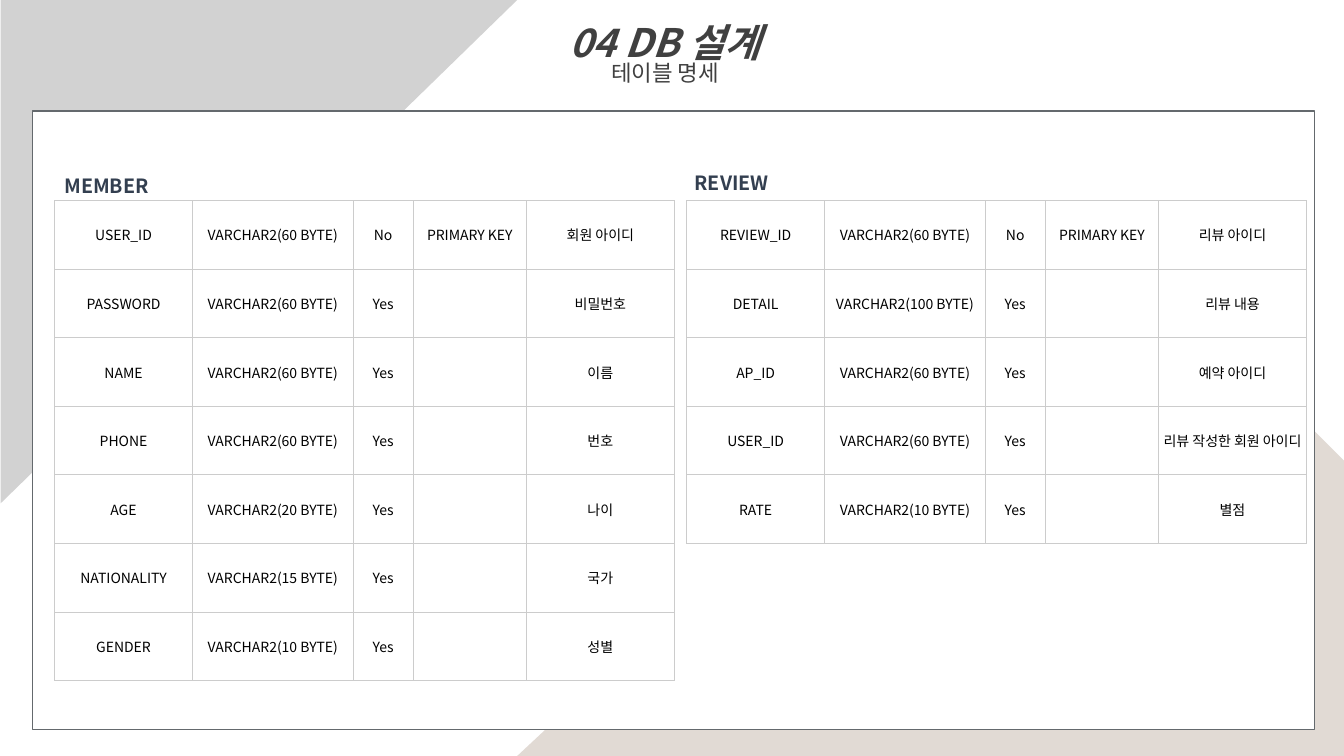
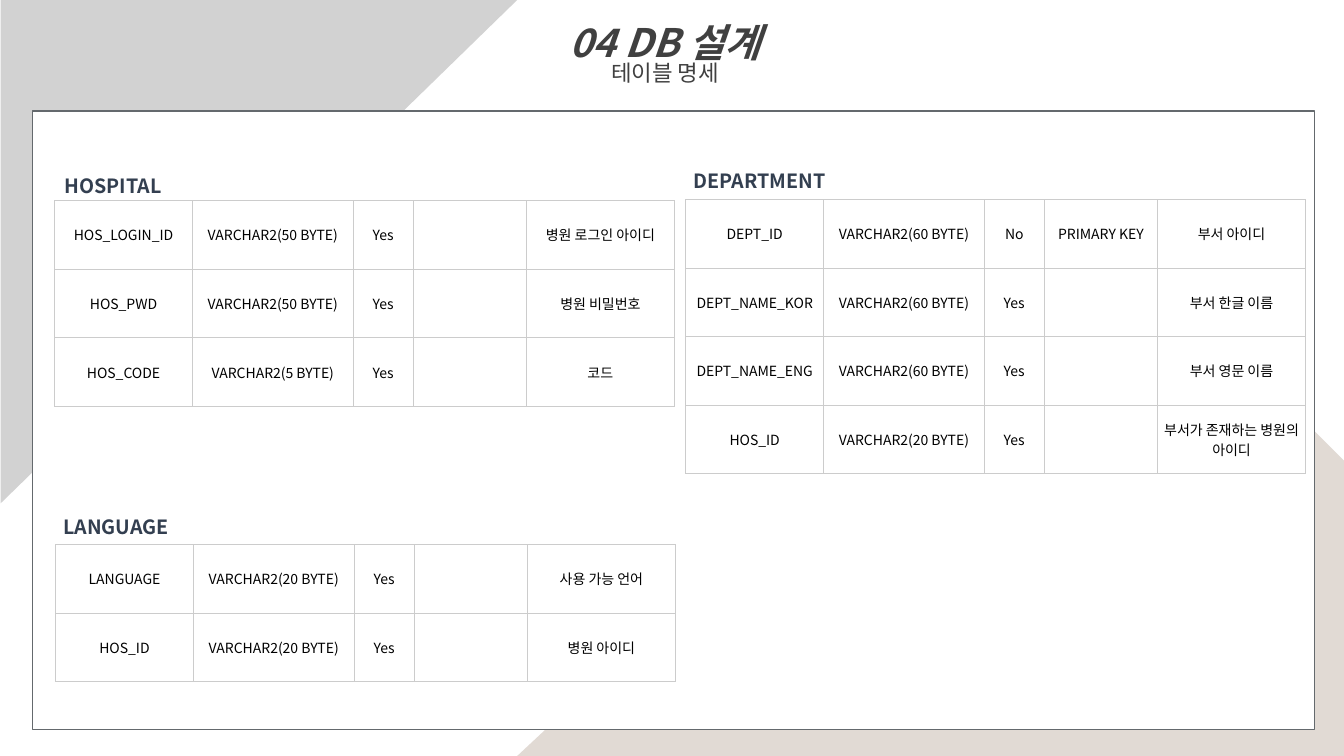
from dataclasses import dataclass
from typing import NamedTuple

from lxml.etree import SubElement
from pptx import Presentation
from pptx.dml.color import RGBColor
from pptx.enum.shapes import MSO_SHAPE
from pptx.enum.text import MSO_ANCHOR, PP_ALIGN
from pptx.oxml.ns import qn
from pptx.util import Inches, Pt

FONT = "Noto Sans CJK KR"
WHITE = RGBColor(0xFF, 0xFF, 0xFF)
BLACK = RGBColor(0x00, 0x00, 0x00)
GRAY = RGBColor(0xD2, 0xD2, 0xD2)
BEIGE = RGBColor(0xE1, 0xDA, 0xD4)
FRAME = RGBColor(0x64, 0x69, 0x6D)
TITLE = RGBColor(0x40, 0x40, 0x40)
NAVY = RGBColor(0x33, 0x3F, 0x50)
GRID = RGBColor(0xCC, 0xCC, 0xCC)

COL_WIDTHS = (1.37, 1.59, 0.6, 1.12, 1.47)
ROW_HEIGHT = 0.68
TITLE_ONLY = 5


class Column(NamedTuple):
    name: str
    size: int
    description: str
    primary: bool = False

    def cells(self) -> tuple[str, ...]:
        return (self.name, f"VARCHAR2({self.size} BYTE)", "No" if self.primary else "Yes",
                "PRIMARY KEY" if self.primary else "", self.description)


@dataclass
class TableSpec:
    name: str
    label_at: tuple[float, float]
    table_at: tuple[float, float]
    columns: list[Column]


SLIDES = [
    [
        TableSpec("MEMBER", (0.54, 1.58), (0.54, 1.99), [
            Column("USER_ID", 60, "회원 아이디", True),
            Column("PASSWORD", 60, "비밀번호"),
            Column("NAME", 60, "이름"),
            Column("PHONE", 60, "번호"),
            Column("AGE", 20, "나이"),
            Column("NATIONALITY", 15, "국가"),
            Column("GENDER", 10, "성별"),
        ]),
        TableSpec("REVIEW", (6.79, 1.55), (6.81, 1.99), [
            Column("REVIEW_ID", 60, "리뷰 아이디", True),
            Column("DETAIL", 100, "리뷰 내용"),
            Column("AP_ID", 60, "예약 아이디"),
            Column("USER_ID", 60, "리뷰 작성한 회원 아이디"),
            Column("RATE", 10, "별점"),
        ]),
    ],
    [
        TableSpec("HOSPITAL", (0.54, 1.58), (0.54, 1.99), [
            Column("HOS_LOGIN_ID", 50, "병원 로그인 아이디"),
            Column("HOS_PWD", 50, "병원 비밀번호"),
            Column("HOS_CODE", 5, "코드"),
        ]),
        TableSpec("DEPARTMENT", (6.78, 1.53), (6.8, 1.98), [
            Column("DEPT_ID", 60, "부서 아이디", True),
            Column("DEPT_NAME_KOR", 60, "부서 한글 이름"),
            Column("DEPT_NAME_ENG", 60, "부서 영문 이름"),
            Column("HOS_ID", 20, "부서가 존재하는 병원의 아이디"),
        ]),
        TableSpec("LANGUAGE", (0.53, 4.96), (0.55, 5.4), [
            Column("LANGUAGE", 20, "사용 가능 언어"),
            Column("HOS_ID", 20, "병원 아이디"),
        ]),
    ],
]


def style_runs(p, size: float, color: RGBColor, bold: bool = False, italic: bool = False) -> None:
    for r in p.runs:
        r.font.name, r.font.size = FONT, Pt(size)
        r.font.bold, r.font.italic = bold, italic
        r.font.color.rgb = color
        SubElement(r.font._element, qn("a:ea")).set("typeface", FONT)


def paint(sp, fill: RGBColor, line: RGBColor | None = None) -> None:
    sp.shadow.inherit = False
    sp.fill.solid()
    sp.fill.fore_color.rgb = fill
    if line is None:
        sp.line.fill.background()
    else:
        sp.line.color.rgb = line
        sp.line.width = Pt(1)


def add_backdrop(slide) -> None:
    """Draw the two corner areas and the framed white panel."""
    outline = slide.shapes.build_freeform(Inches(10.44), Inches(2.54))
    corners = ((11.3, 2.54), (13.33, 4.57), (13.33, 7.5), (5.13, 7.5))
    outline.add_line_segments([(Inches(x), Inches(y)) for x, y in corners])
    paint(outline.convert_to_shape(), BEIGE)

    triangle = slide.shapes.add_shape(MSO_SHAPE.RIGHT_TRIANGLE, Inches(0.07), Inches(-0.07),
                                      Inches(5), Inches(5.13))
    triangle.rotation = 90
    paint(triangle, GRAY)

    panel = slide.shapes.add_shape(MSO_SHAPE.RECTANGLE, Inches(0.32), Inches(1.1),
                                   Inches(12.72), Inches(6.14))
    paint(panel, WHITE, FRAME)


def set_title(slide) -> None:
    """Fill the title placeholder and bring it in front of the backdrop."""
    title = slide.shapes.title
    title.left, title.top = Inches(3.26), Inches(0.12)
    title.width, title.height = Inches(6.67), Inches(0.84)
    slide.shapes._spTree.append(title._element)
    tf = title.text_frame
    tf.text = "04 DB 설계\n테이블 명세"
    tf.vertical_anchor = MSO_ANCHOR.MIDDLE
    heading, subtitle = tf.paragraphs
    for p, spacing in ((heading, 0.9), (subtitle, 0.75)):
        p.alignment = PP_ALIGN.CENTER
        p.line_spacing = spacing
    style_runs(heading, 28, TITLE, bold=True, italic=True)
    style_runs(subtitle, 16, TITLE)


def add_label(slide, text: str, left: float, top: float) -> None:
    box = slide.shapes.add_textbox(Inches(left), Inches(top), Inches(sum(COL_WIDTHS)), Inches(0.41))
    tf = box.text_frame
    tf.word_wrap = True
    tf.vertical_anchor = MSO_ANCHOR.MIDDLE
    p = tf.paragraphs[0]
    p.text = text
    p.line_spacing = 1.5
    style_runs(p, 14, NAVY, bold=True)


def add_borders(cell) -> None:
    tc_pr = cell._tc.get_or_add_tcPr()
    for side in ("lnL", "lnR", "lnT", "lnB"):
        ln = SubElement(tc_pr, qn(f"a:{side}"), w=str(Pt(0.5)))
        fill = SubElement(ln, qn("a:solidFill"))
        SubElement(fill, qn("a:srgbClr"), val=str(GRID))


def fill_cell(cell, text: str) -> None:
    add_borders(cell)
    cell.fill.background()
    cell.vertical_anchor = MSO_ANCHOR.MIDDLE
    cell.margin_left = cell.margin_right = Inches(0.02)
    cell.margin_top = cell.margin_bottom = Inches(0.01)
    p = cell.text_frame.paragraphs[0]
    p.text = text
    p.alignment = PP_ALIGN.CENTER
    style_runs(p, 10, BLACK)


def add_spec(slide, spec: TableSpec) -> None:
    add_label(slide, spec.name, *spec.label_at)
    left, top = spec.table_at
    rows = len(spec.columns)
    table = slide.shapes.add_table(rows, len(COL_WIDTHS), Inches(left), Inches(top),
                                   Inches(sum(COL_WIDTHS)), Inches(rows * ROW_HEIGHT)).table
    table.first_row = table.horz_banding = False
    for table_col, width in zip(table.columns, COL_WIDTHS):
        table_col.width = Inches(width)
    for row, column in zip(table.rows, spec.columns):
        row.height = Inches(ROW_HEIGHT)
        for cell, text in zip(row.cells, column.cells()):
            fill_cell(cell, text)


def main() -> None:
    prs = Presentation()
    prs.slide_width, prs.slide_height = Inches(13.33), Inches(7.5)
    for specs in SLIDES:
        slide = prs.slides.add_slide(prs.slide_layouts[TITLE_ONLY])
        add_backdrop(slide)
        set_title(slide)
        for spec in specs:
            add_spec(slide, spec)
    prs.save("out.pptx")


if __name__ == "__main__":
    main()
